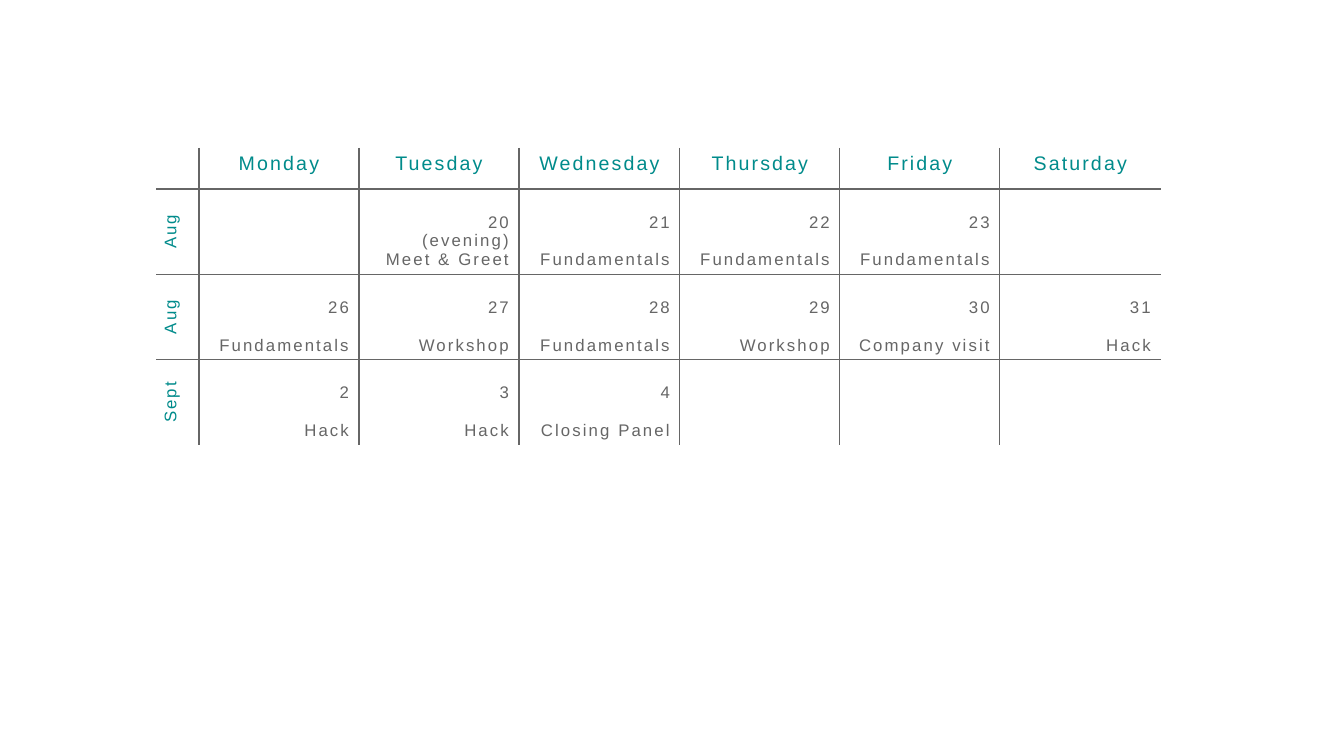
"""Build a three-week course calendar slide."""
from lxml import etree
from pptx import Presentation
from pptx import util as u
from pptx.dml import color
from pptx.enum import text
from pptx.oxml import ns

EMU_PER_PIXEL = 914400 / 100.8
TEAL, GREY = "008B8B", "666666"
ALIGN, ANCHOR = text.PP_ALIGN, text.MSO_ANCHOR


def px(pixels):
    """Turn pixels into EMU."""
    return u.Emu(round(pixels * EMU_PER_PIXEL))


def rgb(value):
    """Turn a hex string into a colour."""
    return color.RGBColor.from_string(value)


class Calendar:
    """Hold the style and the current slide."""
    font = "Arial"
    tracking = "150"
    rule_width = 1

    def __init__(self, slide):
        """Keep the slide to draw on."""
        self.slide = slide

    def grid(self, left, top, widths, heights):
        """Add an unfilled table with inner rules only."""
        table = self.slide.shapes.add_table(
            len(heights), len(widths), px(left), px(top), px(sum(widths)), px(sum(heights))
        ).table
        table.first_row = table.horz_banding = False
        for column, width in zip(table.columns, widths):
            column.width = px(width)
        for row, height in zip(table.rows, heights):
            row.height = px(height)
        for r in range(len(heights)):
            for c in range(len(widths)):
                inner = {"L": c > 0, "R": c < len(widths) - 1, "T": r > 0, "B": r < len(heights) - 1}
                self.rules(table.cell(r, c), inner)
        return table

    def rules(self, cell, inner):
        """Clear the fill and rule the inner sides of a cell."""
        cell.fill.background()
        properties = cell._tc.get_or_add_tcPr()
        for index, (side, shown) in enumerate(inner.items()):
            line = etree.Element(ns.qn(f"a:ln{side}"), w=str(u.Pt(self.rule_width)))
            if shown:
                fill = etree.SubElement(line, ns.qn("a:solidFill"))
                etree.SubElement(fill, ns.qn("a:srgbClr"), val=GREY)
            else:
                etree.SubElement(line, ns.qn("a:noFill"))
            properties.insert(index, line)

    def lettering(self, cell, words, size, ink, align):
        """Put spaced lettering into a cell."""
        cell.text_frame.text = words
        for paragraph in cell.text_frame.paragraphs:
            paragraph.alignment = align
            for run in paragraph.runs:
                run.font.name = self.font
                run.font.size = u.Pt(size)
                run.font.color.rgb = rgb(ink)
                run._r.get_or_add_rPr().set("spc", self.tracking)

    def weekday(self, cell, name):
        """Letter a column heading."""
        self.lettering(cell, name, 14, TEAL, ALIGN.CENTER)

    def month(self, cell, name):
        """Letter a row heading that reads upwards."""
        self.lettering(cell, name, 12, TEAL, ALIGN.CENTER)
        cell._tc.get_or_add_tcPr().set("vert", "vert270")

    def day(self, cell, entry):
        """Letter a date and its event lines."""
        self.lettering(cell, entry, 12, GREY, ALIGN.RIGHT)
        cell.vertical_anchor = ANCHOR.MIDDLE
        paragraphs = cell.text_frame.paragraphs
        spaced = paragraphs if len(paragraphs) == 2 else paragraphs[:1]
        for paragraph in spaced:
            paragraph.line_spacing = 2.0


WEEKDAYS = ["Monday", "Tuesday", "Wednesday", "Thursday", "Friday", "Saturday"]
WEEKS = [
    ("Aug", ["", "20\n(evening)\nMeet & Greet", "21\nFundamentals", "22\nFundamentals",
             "23\nFundamentals", ""]),
    ("Aug", ["26\nFundamentals", "27\nWorkshop", "28\nFundamentals", "29\nWorkshop",
             "30\nCompany visit", "31\nHack"]),
    ("Sept", ["2\nHack", "3\nHack", "4\nClosing Panel", "", "", ""]),
]

deck = Presentation()
deck.slide_width, deck.slide_height = px(1344), px(756)
calendar = Calendar(deck.slides.add_slide(deck.slide_layouts[6]))
schedule = calendar.grid(156, 148, [43] + [160, 160, 161] * 2, [41] + [85] * len(WEEKS))

for column, name in enumerate(WEEKDAYS, 1):
    calendar.weekday(schedule.cell(0, column), name)
for row, (month, entries) in enumerate(WEEKS, 1):
    calendar.month(schedule.cell(row, 0), month)
    for column, entry in enumerate(entries, 1):
        if entry:
            calendar.day(schedule.cell(row, column), entry)

deck.save("out.pptx")
